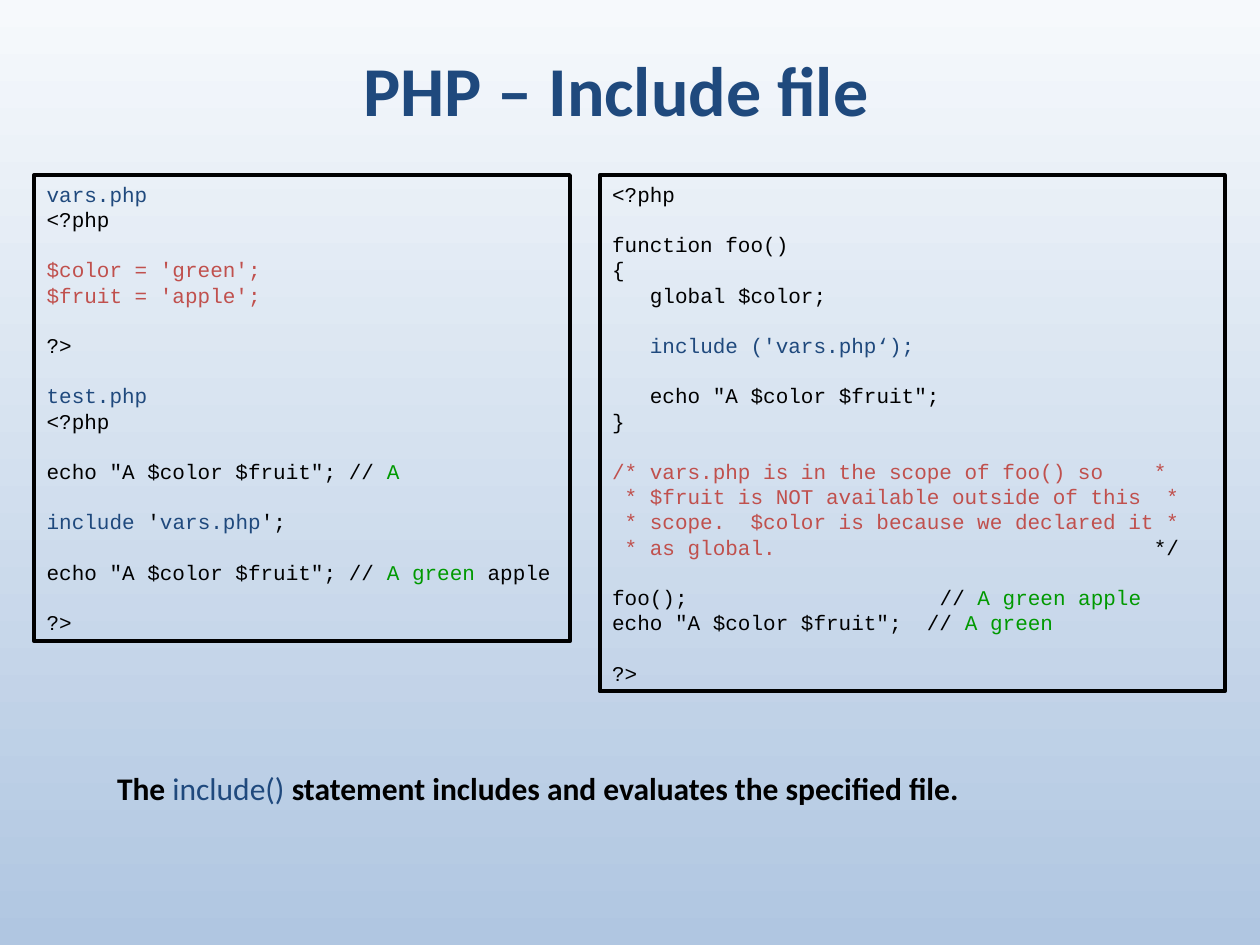
from dataclasses import dataclass

from lxml import etree
from pptx import Presentation
from pptx import util as u
from pptx.dml.color import RGBColor
from pptx.enum import shapes, text
from pptx.oxml import ns


@dataclass(frozen=True)
class Theme:
    head: str = "Calibri"
    mono: str = "Courier New"
    big: float = 40
    mid: float = 18
    small: float = 12
    pitch: float = 14.4
    char: float = 7.2
    black: str = "000000"
    blue: str = "1F497D"
    red: str = "C0504D"
    green: str = "009900"
    top: str = "F6F9FC"
    base: str = "B0C6E1"


@dataclass
class Line:
    runs: list
    gap: int = 0
    indent: int = 0
    stop: int = 0


T = Theme()


def plain(words, tone=T.black, **more):
    return Line([(words, tone)], **more)


VARS = [
    plain("vars.php", T.blue),
    plain("<?php"),
    plain("$color = 'green';", T.red, gap=1),
    plain("$fruit = 'apple';", T.red),
    plain("?>", gap=1),
    plain("test.php", T.blue, gap=1),
    plain("<?php"),
    Line([('echo "A $color $fruit"; // ', T.black), ("A", T.green)], gap=1),
    Line([("include", T.blue), (" '", T.black), ("vars.php", T.blue), ("';", T.black)], gap=1),
    Line([('echo "A $color $fruit"; // ', T.black), ("A green", T.green),
          (" apple", T.black)], gap=1),
    plain("?>", gap=1),
]

SCOPE = [
    plain("<?php"),
    plain("function foo()", gap=1),
    plain("{"),
    plain("global $color;", indent=3),
    plain("include ('vars.php‘);", T.blue, gap=1, indent=3),
    plain('echo "A $color $fruit";', gap=1, indent=3),
    plain("}"),
    plain("/* vars.php is in the scope of foo() so\t*", T.red, gap=1, stop=43),
    plain(" * $fruit is NOT available outside of this  *", T.red),
    plain(" * scope.  $color is because we declared it *", T.red),
    Line([(" * as global.", T.red), ("\t*/", T.black)], stop=43),
    Line([("foo();\t// ", T.black), ("A green apple", T.green)], gap=1, stop=26),
    Line([('echo "A $color $fruit";  // ', T.black), ("A green", T.green)]),
    plain("?>", gap=1),
]


def rgb(tone):
    return RGBColor.from_string(tone)


def paint(slide):
    fill = slide.background.fill
    fill.gradient()
    fill.gradient_angle = 270
    for stop, tone in zip(fill.gradient_stops, (T.top, T.base)):
        stop.color.rgb = rgb(tone)


def title(slide, words):
    shape = slide.shapes.title
    shape.left, shape.top = u.Cm(1.47), u.Cm(0.84)
    shape.width, shape.height = u.Cm(21.9), u.Cm(1.9)
    frame = shape.text_frame
    frame.text = words
    frame.vertical_anchor = text.MSO_ANCHOR.MIDDLE
    para = frame.paragraphs[0]
    para.alignment = text.PP_ALIGN.CENTER
    font = para.font
    font.name, font.size, font.bold = T.head, u.Pt(T.big), True
    font.color.rgb = rgb(T.blue)


def write(para, runs):
    for words, tone in runs:
        run = para.add_run()
        run.text = words
        run.font.color.rgb = rgb(tone)


def tab(para, chars):
    props = para._p.get_or_add_pPr()
    stops = etree.SubElement(props, ns.qn("a:tabLst"))
    etree.SubElement(stops, ns.qn("a:tab"), pos=str(u.Pt(chars * T.char)), algn="l")


def code(slide, left, width, height, lines):
    box = slide.shapes.add_shape(
        shapes.MSO_SHAPE.RECTANGLE, u.Cm(left), u.Cm(3.53), u.Cm(width), u.Cm(height))
    box.shadow.inherit = False
    box.fill.background()
    box.line.color.rgb = rgb(T.black)
    box.line.width = u.Pt(2.25)
    frame = box.text_frame
    frame.word_wrap = True
    frame.auto_size = text.MSO_AUTO_SIZE.SHAPE_TO_FIT_TEXT
    frame.vertical_anchor = text.MSO_ANCHOR.TOP
    for i, line in enumerate(lines):
        para = frame.add_paragraph() if i else frame.paragraphs[0]
        para.alignment = text.PP_ALIGN.LEFT
        para.line_spacing = u.Pt(T.pitch)
        para.space_before = u.Pt(line.gap * T.pitch)
        if line.indent:
            para._p.get_or_add_pPr().set("marL", str(u.Pt(line.indent * T.char)))
        if line.stop:
            tab(para, line.stop)
        para.font.name, para.font.size = T.mono, u.Pt(T.small)
        write(para, line.runs)


def note(slide, runs):
    box = slide.shapes.add_textbox(u.Cm(2.11), u.Cm(15.47), u.Cm(25.4), u.Cm(0.94))
    box.text_frame.word_wrap = True
    para = box.text_frame.paragraphs[0]
    para.line_spacing = 0.9
    para.space_before = u.Pt(4.5)
    para.font.name, para.font.size = T.head, u.Pt(T.mid)
    write(para, runs)
    for run, (_, tone) in zip(para.runs, runs):
        run.font.bold = tone == T.black


def main():
    deck = Presentation()
    deck.slide_width, deck.slide_height = u.Cm(25.4), u.Cm(19.05)
    slide = deck.slides.add_slide(deck.slide_layouts[5])
    paint(slide)
    title(slide, "PHP – Include file")
    note(slide, [("The ", T.black), ("include()", T.blue),
                 (" statement includes and evaluates the specified file.", T.black)])
    code(slide, 0.69, 10.8, 9.4, VARS)
    code(slide, 12.09, 12.6, 10.41, SCOPE)
    deck.save("out.pptx")


if __name__ == "__main__":
    main()
